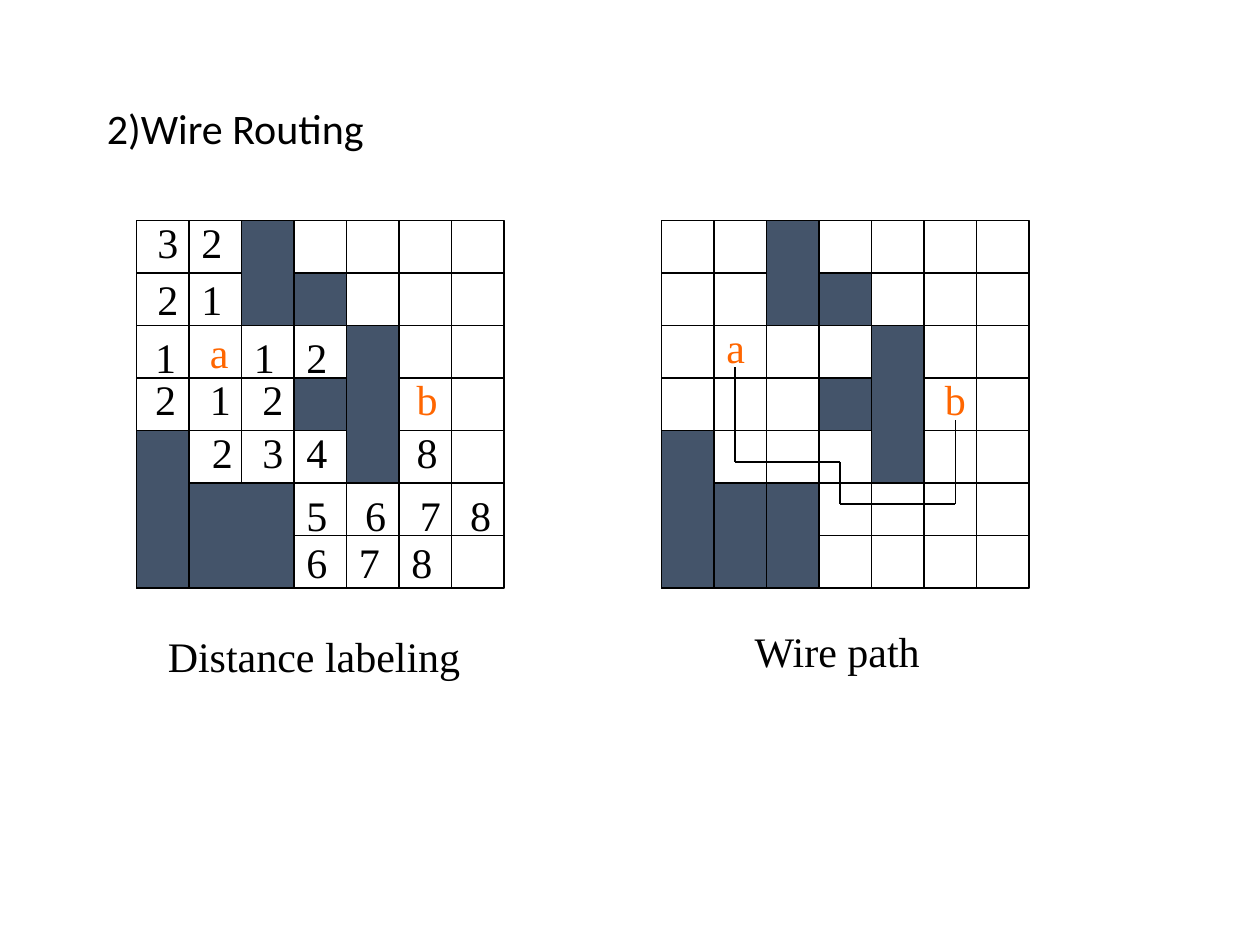
from lxml import etree
from pptx import Presentation
from pptx.dml.color import RGBColor
from pptx.enum.shapes import MSO_CONNECTOR, MSO_SHAPE
from pptx.enum.text import MSO_ANCHOR, MSO_AUTO_SIZE
from pptx.oxml.ns import qn
from pptx.util import Emu, Pt

RECTANGLE = MSO_SHAPE.RECTANGLE
STRAIGHT = MSO_CONNECTOR.STRAIGHT
MIDDLE = MSO_ANCHOR.MIDDLE
GROW = MSO_AUTO_SIZE.SHAPE_TO_FIT_TEXT

EMU_PER_PX = 7620  # 120 px to the inch
CELL, CELLS = 50, 7
SIDE = CELL * CELLS
COLORS = {"ink": "000000", "wall": "44546A", "pin": "FF6600"}


def px(length):
    return Emu(length * EMU_PER_PX)


class Page:
    """Style and current slide; elements land in the current group, if any."""

    title_font, body_font = "Calibri", "Times New Roman"
    text_size, line_width = Pt(24), Pt(0.75)

    def __init__(self, deck):
        self.slide = deck.slides.add_slide(deck.slide_layouts[6])
        self.shapes = self.slide.shapes

    def start_group(self):
        self.shapes = self.slide.shapes.add_group_shape().shapes

    def end_group(self):
        self.shapes = self.slide.shapes

    def color(self, name):
        return RGBColor.from_string(COLORS[name])

    def outline(self, shape):
        shape.line.color.rgb = self.color("ink")
        shape.line.width = self.line_width

    def rectangle(self, left, top, width, height, fill=None):
        box = self.shapes.add_shape(RECTANGLE, px(left), px(top), px(width), px(height))
        box.shadow.inherit = False
        if fill:
            box.fill.solid()
            box.fill.fore_color.rgb = self.color(fill)
        else:
            box.fill.background()
        self.outline(box)

    def line(self, start, end):
        line = self.shapes.add_connector(STRAIGHT, *map(px, start + end))
        etree.SubElement(line._element.spPr, qn("a:effectLst"))
        self.outline(line)

    def text(self, words, left, top, width, height, font, color="ink"):
        box = self.shapes.add_textbox(px(left), px(top), px(width), px(height))
        box.text_frame.text = words
        para = box.text_frame.paragraphs[0]
        style = para.runs[0].font
        style.name, style.size = font, self.text_size
        style.color.rgb = self.color(color)
        return box.text_frame, para

    def title(self, words, left, top, width, height):
        frame, para = self.text(words, left, top, width, height, self.title_font)
        frame.word_wrap = True
        frame.vertical_anchor = MIDDLE
        para.line_spacing = 0.9

    def label(self, words, left, top, width=44, color="ink"):
        frame, para = self.text(words, left, top, width, 60, self.body_font, color)
        frame.word_wrap = False
        frame.auto_size = GROW
        para.space_before = Pt(6)

    def grid(self, left, top, walls):
        self.rectangle(left, top, SIDE, SIDE)
        steps = range(CELL, SIDE, CELL)
        for step in steps:
            self.line((left, top + step), (left + SIDE, top + step))
        for step in steps:
            self.line((left + step, top), (left + step, top + SIDE))
        for column, row, columns, rows in walls:
            self.rectangle(left + column * CELL, top + row * CELL,
                           columns * CELL, rows * CELL, "wall")


# Walls as column, row, columns, rows
SHARED_WALLS = [(2, 0, 1, 2), (4, 2, 1, 3), (0, 4, 1, 3), (3, 1, 1, 1), (3, 3, 1, 1)]
LABELING_WALLS = SHARED_WALLS + [(1, 5, 2, 2)]
PATH_WALLS = SHARED_WALLS + [(1, 5, 1, 2), (2, 5, 1, 2)]

# Distances by row: top, then the left edge of each number
DISTANCES = [
    (200, [("3", 138), ("2", 180)]),
    (255, [("2", 138), ("1", 180)]),
    (310, [("1", 136), ("1", 230), ("2", 280)]),
    (350, [("2", 136), ("1", 188), ("2", 238)]),
    (400, [("2", 190), ("3", 238), ("4", 280), ("8", 385)]),
    (460, [("5", 280), ("6", 336), ("7", 388), ("8", 436)]),
    (505, [("6", 280), ("7", 330), ("8", 380)]),
]
WIRE = [(700, 350), (700, 440), (800, 440), (800, 480), (910, 480), (910, 400)]


def main():
    deck = Presentation()
    deck.slide_width, deck.slide_height = px(1200), px(900)
    page = Page(deck)
    page.title("2)Wire Routing", 90, 80, 1020, 90)

    # Wire path
    page.start_group()
    page.grid(630, 210, PATH_WALLS)
    page.label("a", 680, 300, 42, "pin")
    page.label("b", 888, 350, color="pin")
    for start, end in zip(WIRE, WIRE[1:]):
        page.line(start, end)

    # Distance labeling
    page.start_group()
    page.grid(130, 210, LABELING_WALLS)
    for top, numbers in DISTANCES:
        for number, left in numbers:
            page.label(number, left, top)
    page.label("a", 188, 305, 42, "pin")
    page.label("b", 385, 350, color="pin")

    # Captions
    page.end_group()
    page.label("Distance labeling", 148, 595, 303)
    page.label("Wire path", 707, 590, 183)

    deck.save("out.pptx")


if __name__ == "__main__":
    main()
